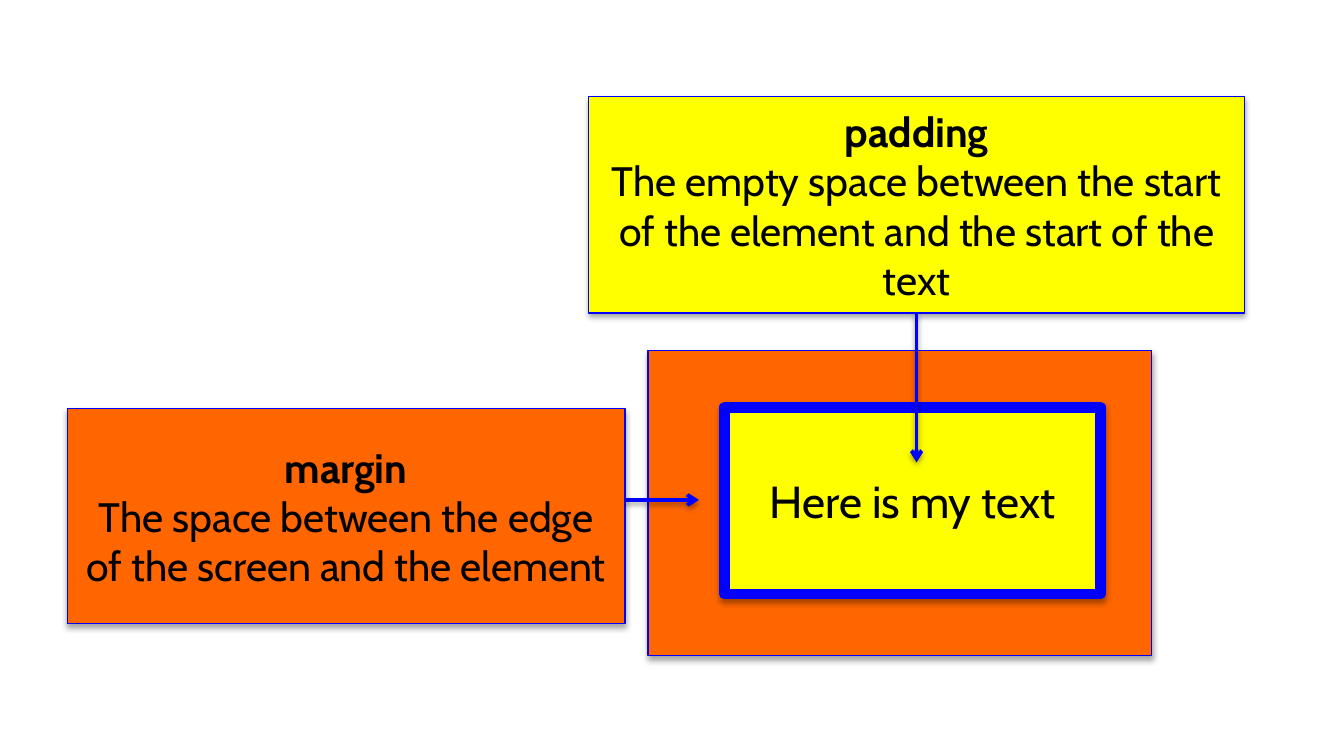
from lxml.etree import SubElement
from pptx import Presentation
from pptx.dml.color import RGBColor
from pptx.enum.shapes import MSO_CONNECTOR, MSO_SHAPE
from pptx.enum.text import MSO_ANCHOR, PP_ALIGN
from pptx.oxml.ns import qn
from pptx.util import Inches, Pt

ORANGE, YELLOW, BLUE, BLACK = "FF6600", "FFFF00", "0000FF", "000000"

SCREEN = ((4.82, 2.61, 3.75, 2.27), ORANGE, 0.75, [])
ELEMENT = ((5.39, 3.03, 2.8, 1.39), YELLOW, 5.75, [
    ("Here is my text", {"size": Pt(24), "bold": False}),
])
MARGIN = ((0.5, 3.04, 4.15, 1.6), ORANGE, 0.75, [
    ("margin", {"size": Pt(22), "bold": True}),
    ("The space between the edge of the screen and the element",
     {"size": Pt(22), "bold": False}),
])
PADDING = ((4.38, 0.72, 4.88, 1.61), YELLOW, 0.75, [
    ("padding", {"size": Pt(22), "bold": True}),
    ("The empty space between the start of the element and the start of the text",
     {"size": Pt(22), "bold": False}),
])
MARGIN_ARROW = (4.38, 3.72, 5.2, 3.72)
PADDING_ARROW = (6.82, 2.33, 6.82, 3.44)


def color(value):
    return RGBColor.from_string(value)


def add_shadow(sp, distance, opacity):
    effects = SubElement(sp._element.spPr, qn("a:effectLst"))
    shadow = SubElement(effects, qn("a:outerShdw"), blurRad=str(Pt(3.1)),
                        dist=str(Pt(distance)), dir="5400000", rotWithShape="0")
    tint = SubElement(shadow, qn("a:srgbClr"), val=BLACK)
    SubElement(tint, qn("a:alpha"), val=str(opacity * 1000))


def set_line(sp, width):
    sp.line.color.rgb = color(BLUE)
    sp.line.width = Pt(width)


def add_box(s, at, fill, width, lines):
    sp = s.shapes.add_shape(MSO_SHAPE.RECTANGLE, *map(Inches, at))
    sp.fill.solid()
    sp.fill.fore_color.rgb = color(fill)
    set_line(sp, width)
    add_shadow(sp, 1.8, 35)
    tf = sp.text_frame
    tf.word_wrap = True
    tf.vertical_anchor = MSO_ANCHOR.MIDDLE
    for i, (text, formats) in enumerate(lines):
        p = tf.add_paragraph() if i else tf.paragraphs[0]
        p.alignment = PP_ALIGN.CENTER
        r = p.add_run()
        r.text = text
        r.font.color.rgb = color(BLACK)
        for name, value in {"name": "Cabin", **formats}.items():
            setattr(r.font, name, value)
    return sp


def add_arrow(s, ends):
    sp = s.shapes.add_connector(MSO_CONNECTOR.STRAIGHT, *map(Inches, ends))
    set_line(sp, 2)
    SubElement(sp.line._get_or_add_ln(), qn("a:tailEnd"), type="arrow")
    add_shadow(sp, 1.6, 38)
    return sp


prs = Presentation()
prs.slide_width = Inches(10)
prs.slide_height = prs.slide_width * 9 // 16
s = prs.slides.add_slide(prs.slide_layouts[6])

add_box(s, *SCREEN)
add_box(s, *ELEMENT)
add_arrow(s, MARGIN_ARROW)
add_box(s, *MARGIN)
padding_box = add_box(s, *PADDING)
add_arrow(s, PADDING_ARROW).begin_connect(padding_box, 2)

prs.save("out.pptx")
